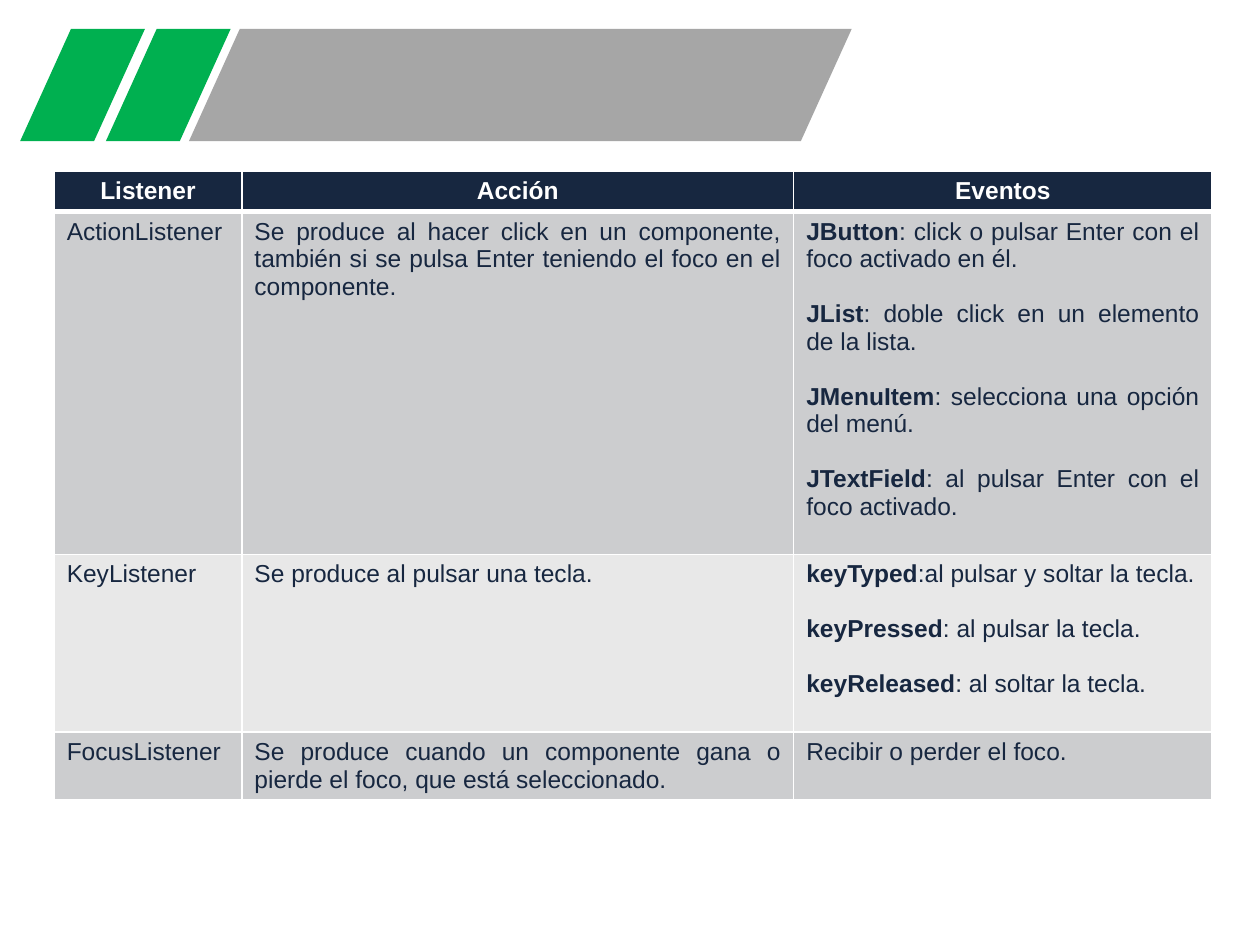
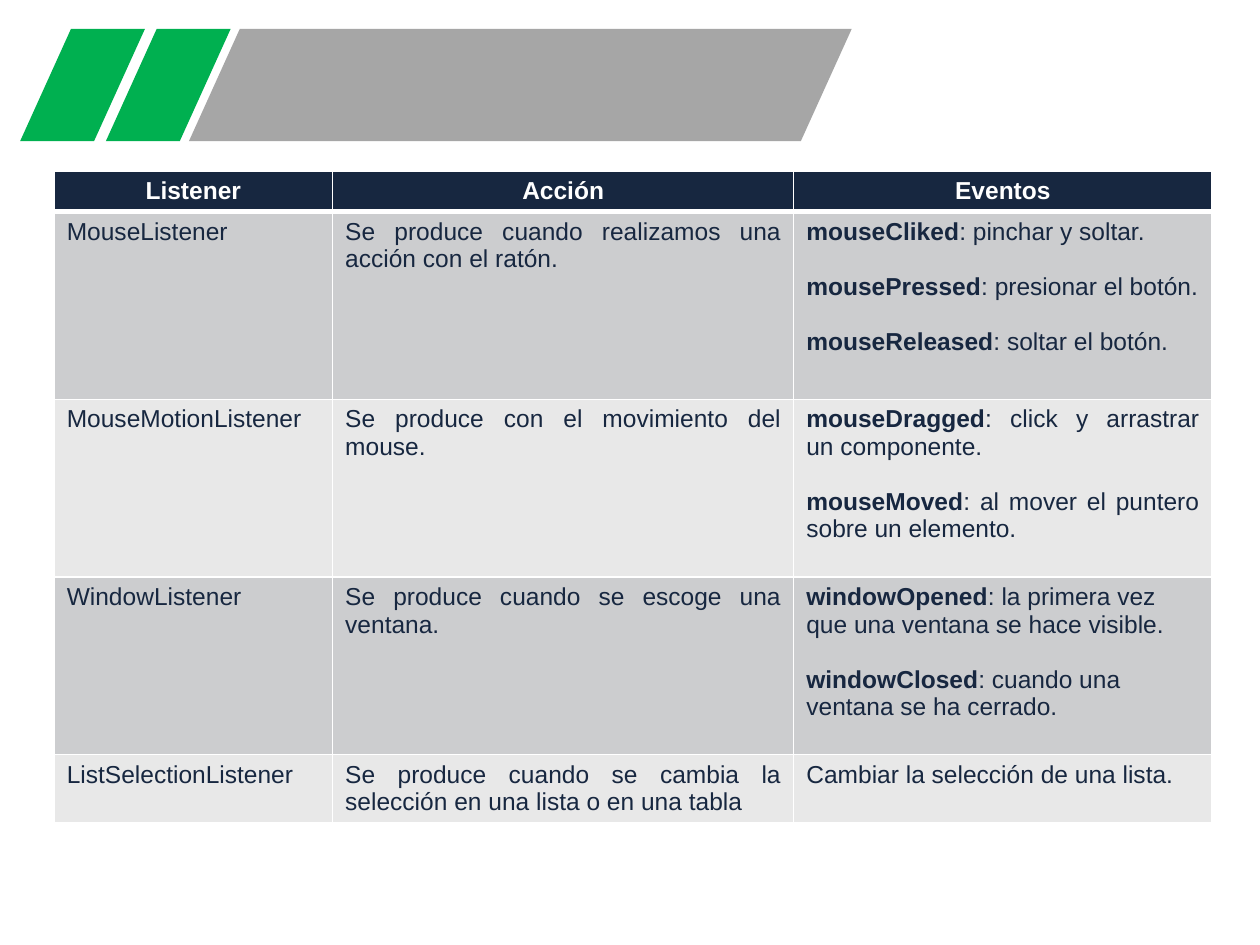
from dataclasses import dataclass

from lxml.etree import SubElement
from pptx import Presentation
from pptx.dml.color import RGBColor
from pptx.enum.shapes import MSO_SHAPE
from pptx.enum.text import PP_ALIGN
from pptx.oxml import parse_xml
from pptx.oxml.ns import nsdecls, qn
from pptx.util import Inches, Pt

# Content: each row is (listener, action, events, height);
# each event is (bold name, description)
HEADINGS = ("Listener", "Acción", "Eventos")
HEADER_HEIGHT = 0.32

COMPONENT_LISTENERS = [
    ("ActionListener",
     "Se produce al hacer click en un componente, también si se pulsa Enter "
     "teniendo el foco en el componente.",
     [("JButton", ": click o pulsar Enter con el foco activado en él."),
      ("JList", ": doble click en un elemento de la lista."),
      ("JMenuItem", ": selecciona una opción del menú."),
      ("JTextField", ": al pulsar Enter con el foco activado.")], 2.72),
    ("KeyListener",
     "Se produce al pulsar una tecla.",
     [("keyTyped", ":al pulsar y soltar la tecla."),
      ("keyPressed", ": al pulsar la tecla."),
      ("keyReleased", ": al soltar la tecla.")], 1.41),
    ("FocusListener",
     "Se produce cuando un componente gana o pierde el foco, que está "
     "seleccionado.",
     [("", "Recibir o perder el foco.")], 0.53),
]

POINTER_LISTENERS = [
    ("MouseListener",
     "Se produce cuando realizamos una acción con el ratón.",
     [("mouseCliked", ": pinchar y soltar."),
      ("mousePressed", ": presionar el botón."),
      ("mouseReleased", ": soltar el botón.")], 1.49),
    ("MouseMotionListener",
     "Se produce con el movimiento del mouse.",
     [("mouseDragged", ": click y arrastrar un componente."),
      ("mouseMoved", ": al mover el puntero sobre un elemento.")], 1.41),
    ("WindowListener",
     "Se produce cuando se escoge una ventana.",
     [("windowOpened", ": la primera vez que una ventana se hace visible."),
      ("windowClosed", ": cuando una ventana se ha cerrado.")], 1.41),
    ("ListSelectionListener",
     "Se produce cuando se cambia la selección en una lista o en una tabla",
     [("", "Cambiar la selección de una lista.")], 0.53),
]

LEFT_ALIGNED_EVENTS = {"WindowListener"}

# (column widths, rows) for each slide
SLIDES = [
    ((1.49, 4.38, 3.32), COMPONENT_LISTENERS),
    ((2.21, 3.66, 3.32), POINTER_LISTENERS),
]


@dataclass(frozen=True)
class Theme:
    navy: str = "172740"
    white: str = "FFFFFF"
    green: str = "00B050"
    gray: str = "A6A6A6"
    stripes: tuple = ("CCCDCF", "E8E8E8")
    font: str = "Arial"
    text_size: float = 14
    event_gap: float = 15.7
    rule: float = 1
    header_rule: float = 3


THEME = Theme()

# Heading band: (left, width, colour)
BAND = [(1.5, 5.26, THEME.gray), (0.84, 0.99, THEME.green),
        (0.16, 0.99, THEME.green)]
BAND_TOP, BAND_HEIGHT, BAND_SLANT = 0.23, 0.89, 0.453
TABLE_LEFT, TABLE_TOP = 0.43, 1.36


def move_band_to_layout(slide, layout):
    """Draw the band once and place it on the shared layout."""
    for placeholder in list(layout.placeholders):
        layout.shapes.element.remove(placeholder.element)
    stripes = []
    for left, width, color in BAND:
        stripe = slide.shapes.add_shape(
            MSO_SHAPE.PARALLELOGRAM, Inches(left), Inches(BAND_TOP),
            Inches(width), Inches(BAND_HEIGHT))
        stripe.adjustments[0] = BAND_SLANT
        stripe.shadow.inherit = False
        stripe.fill.solid()
        stripe.fill.fore_color.rgb = RGBColor.from_string(color)
        stripe.line.fill.background()
        stripes.append(stripe)
    for stripe in stripes:
        layout.shapes.element.append(stripe.element)


def set_borders(cell, top, bottom):
    properties = cell._tc.get_or_add_tcPr()
    widths = {"lnL": THEME.rule, "lnR": THEME.rule, "lnT": top, "lnB": bottom}
    for position, (side, width) in enumerate(widths.items()):
        line = parse_xml(f'<a:{side} {nsdecls("a")} w="{Pt(width)}"/>')
        fill = SubElement(line, qn("a:solidFill"))
        SubElement(fill, qn("a:srgbClr"), val=THEME.white)
        properties.insert(position, line)


def write_cell(cell, paragraphs, color, align):
    """Write paragraphs given as (bold part, plain part)."""
    for index, parts in enumerate(paragraphs):
        frame = cell.text_frame
        paragraph = frame.add_paragraph() if index else frame.paragraphs[0]
        paragraph.alignment = align
        if index:
            paragraph.space_before = Pt(THEME.event_gap)
        for text, bold in zip(parts, (True, False)):
            if not text:
                continue
            run = paragraph.add_run()
            run.text = text
            run.font.name = THEME.font
            run.font.size = Pt(THEME.text_size)
            run.font.bold = bold
            run.font.color.rgb = RGBColor.from_string(color)


def style_cell(cell, fill, top, bottom):
    cell.fill.solid()
    cell.fill.fore_color.rgb = RGBColor.from_string(fill)
    set_borders(cell, top, bottom)


def add_listener_table(slide, widths, listeners):
    heights = [HEADER_HEIGHT] + [row[-1] for row in listeners]
    table = slide.shapes.add_table(
        len(heights), len(widths), Inches(TABLE_LEFT), Inches(TABLE_TOP),
        Inches(sum(widths)), Inches(sum(heights))).table
    for column, width in zip(table.columns, widths):
        column.width = Inches(width)
    for row, height in zip(table.rows, heights):
        row.height = Inches(height)

    # Header row
    for cell, heading in zip(table.rows[0].cells, HEADINGS):
        write_cell(cell, [(heading, "")], THEME.white, PP_ALIGN.CENTER)
        style_cell(cell, THEME.navy, THEME.rule, THEME.header_rule)

    # Listener rows
    for number, (listener, action, events, _) in enumerate(listeners):
        event_align = (PP_ALIGN.LEFT if listener in LEFT_ALIGNED_EVENTS
                       else PP_ALIGN.JUSTIFY)
        contents = [([("", listener)], PP_ALIGN.LEFT),
                    ([("", action)], PP_ALIGN.JUSTIFY),
                    (events, event_align)]
        top = THEME.rule if number else THEME.header_rule
        for cell, (paragraphs, align) in zip(table.rows[number + 1].cells,
                                             contents):
            write_cell(cell, paragraphs, THEME.navy, align)
            style_cell(cell, THEME.stripes[number % 2], top, THEME.rule)


def main():
    deck = Presentation()
    deck.slide_width, deck.slide_height = Inches(10), Inches(7.5)
    layout = deck.slide_layouts.get_by_name("Blank")
    slides = [deck.slides.add_slide(layout) for _ in SLIDES]
    move_band_to_layout(slides[0], layout)
    for slide, (widths, listeners) in zip(slides, SLIDES):
        add_listener_table(slide, widths, listeners)
    deck.save("out.pptx")


if __name__ == "__main__":
    main()
